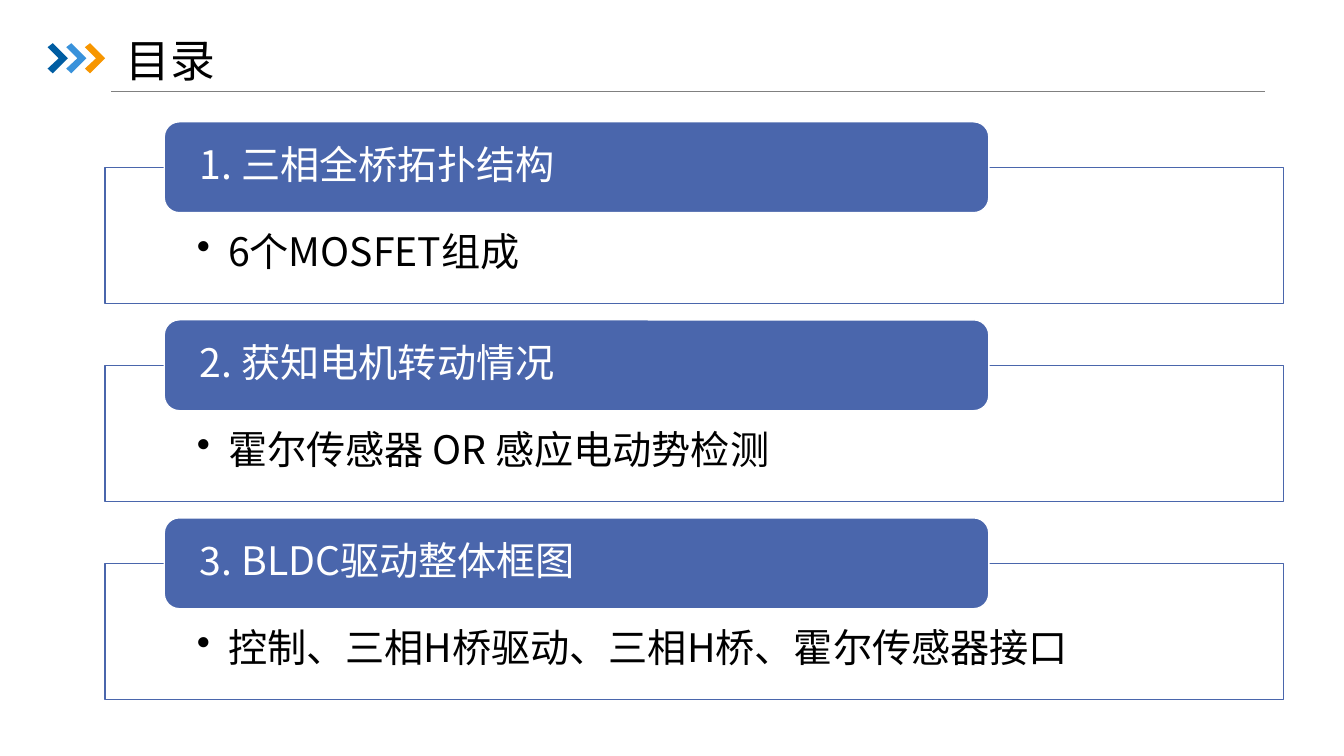
"""Build the agenda slide with three titled sections."""
from lxml import etree
from pptx import Presentation
from pptx import util as u
from pptx.dml.color import RGBColor
from pptx.enum import shapes, text
from pptx.oxml.ns import qn

FONT = "Noto Sans CJK SC"
BLUE, WHITE, BLACK = "4A66AC", "FFFFFF", "000000"
CHEVRON = [(0, 0.1), (0.13, 0), (0.51, 0.38), (0.13, 0.76), (0, 0.64), (0.28, 0.38)]
CHEVRON_COLORS = ["005DA2", "3992DB", "F79600"]
SECTIONS = [
    ("1. 三相全桥拓扑结构", "6个MOSFET组成"),
    ("2. 获知电机转动情况", "霍尔传感器 OR 感应电动势检测"),
    ("3. BLDC驱动整体框图", "控制、三相H桥驱动、三相H桥、霍尔传感器接口"),
]
SECTION_PITCH = 4.99


def color(hex_string):
    """Turn a hex string into a colour."""
    return RGBColor.from_string(hex_string)


def paint(shape, fill, line=None):
    """Set the fill and outline of a shape and drop its shadow."""
    shape.shadow.inherit = False
    shape.fill.solid()
    shape.fill.fore_color.rgb = color(fill)
    if line:
        shape.line.color.rgb = color(line)
        shape.line.width = u.Pt(1)
    else:
        shape.line.fill.background()


def write(shape, words, size, ink, anchor, insets=(0.25, 0.13, 0.25, 0.13), bullet=False):
    """Write one left-aligned paragraph into a shape."""
    frame = shape.text_frame
    frame.word_wrap = True
    frame.auto_size = text.MSO_AUTO_SIZE.NONE
    frame.vertical_anchor = anchor
    (frame.margin_left, frame.margin_top,
     frame.margin_right, frame.margin_bottom) = map(u.Cm, insets)
    paragraph = frame.paragraphs[0]
    paragraph.alignment = text.PP_ALIGN.LEFT
    paragraph.line_spacing = 0.9
    if bullet:
        properties = paragraph._p.get_or_add_pPr()
        properties.set("marL", str(u.Cm(0.79)))
        properties.set("indent", str(u.Cm(-0.79)))
        etree.SubElement(properties, qn("a:buChar")).set("char", "•")
    run = paragraph.add_run()
    run.text = words
    run.font.size = u.Pt(size)
    run.font.name = FONT
    run.font.color.rgb = color(ink)
    etree.SubElement(run._r.get_or_add_rPr(), qn("a:ea")).set("typeface", FONT)


def add_box(slide, kind, left, top, width, height, fill, line):
    """Add a painted preset shape."""
    shape = slide.shapes.add_shape(kind, u.Cm(left), u.Cm(top), u.Cm(width), u.Cm(height))
    paint(shape, fill, line)
    return shape


def add_chevron(slide, left, top, fill):
    """Add one arrow-like chevron."""
    points = [(u.Cm(left + x), u.Cm(top + y)) for x, y in CHEVRON]
    builder = slide.shapes.build_freeform(*points[0])
    builder.add_line_segments(points[1:], close=True)
    paint(builder.convert_to_shape(), fill)


def add_rule(slide, left, right, top):
    """Add the thin grey line under the title."""
    rule = slide.shapes.add_connector(
        shapes.MSO_CONNECTOR.STRAIGHT, u.Cm(left), u.Cm(top), u.Cm(right), u.Cm(top))
    rule.line.color.rgb = color("808080")
    rule.line.width = u.Pt(0.5)
    etree.SubElement(rule._element.spPr, qn("a:effectLst"))


def add_title(slide, words):
    """Place and write the title placeholder."""
    title = slide.shapes.title
    title.left, title.top = u.Cm(2.92), u.Cm(1.04)
    title.width, title.height = u.Cm(22.5), u.Cm(1.09)
    write(title, words, 32, BLACK, text.MSO_ANCHOR.MIDDLE)


def add_section(slide, top, heading, detail):
    """Add a framed detail with its heading bar on the upper edge."""
    frame = add_box(slide, shapes.MSO_SHAPE.RECTANGLE, 2.65, top + 1.15, 29.69, 3.43, WHITE, BLUE)
    fill_color = frame._element.spPr.find(qn("a:solidFill"))[0]
    etree.SubElement(fill_color, qn("a:alpha")).set("val", "90000")
    write(frame, detail, 28, BLACK, text.MSO_ANCHOR.TOP, (2.31, 1.63, 2.31, 0.56), bullet=True)
    bar = add_box(slide, shapes.MSO_SHAPE.ROUNDED_RECTANGLE, 4.14, top, 20.78, 2.29, BLUE, WHITE)
    write(bar, heading, 28, WHITE, text.MSO_ANCHOR.MIDDLE, (0.79, 0, 0.79, 0))


def main():
    """Build and save the presentation."""
    presentation = Presentation()
    presentation.slide_width, presentation.slide_height = u.Cm(33.87), u.Cm(19.05)
    slide = presentation.slides.add_slide(presentation.slide_layouts[5])
    add_rule(slide, 2.8, 31.88, 2.31)
    for index, fill in enumerate(CHEVRON_COLORS):
        add_chevron(slide, 1.2 + 0.47 * index, 1.09, fill)
    add_title(slide, "目录")
    for index, (heading, detail) in enumerate(SECTIONS):
        add_section(slide, 3.07 + SECTION_PITCH * index, heading, detail)
    presentation.save("out.pptx")


if __name__ == "__main__":
    main()
